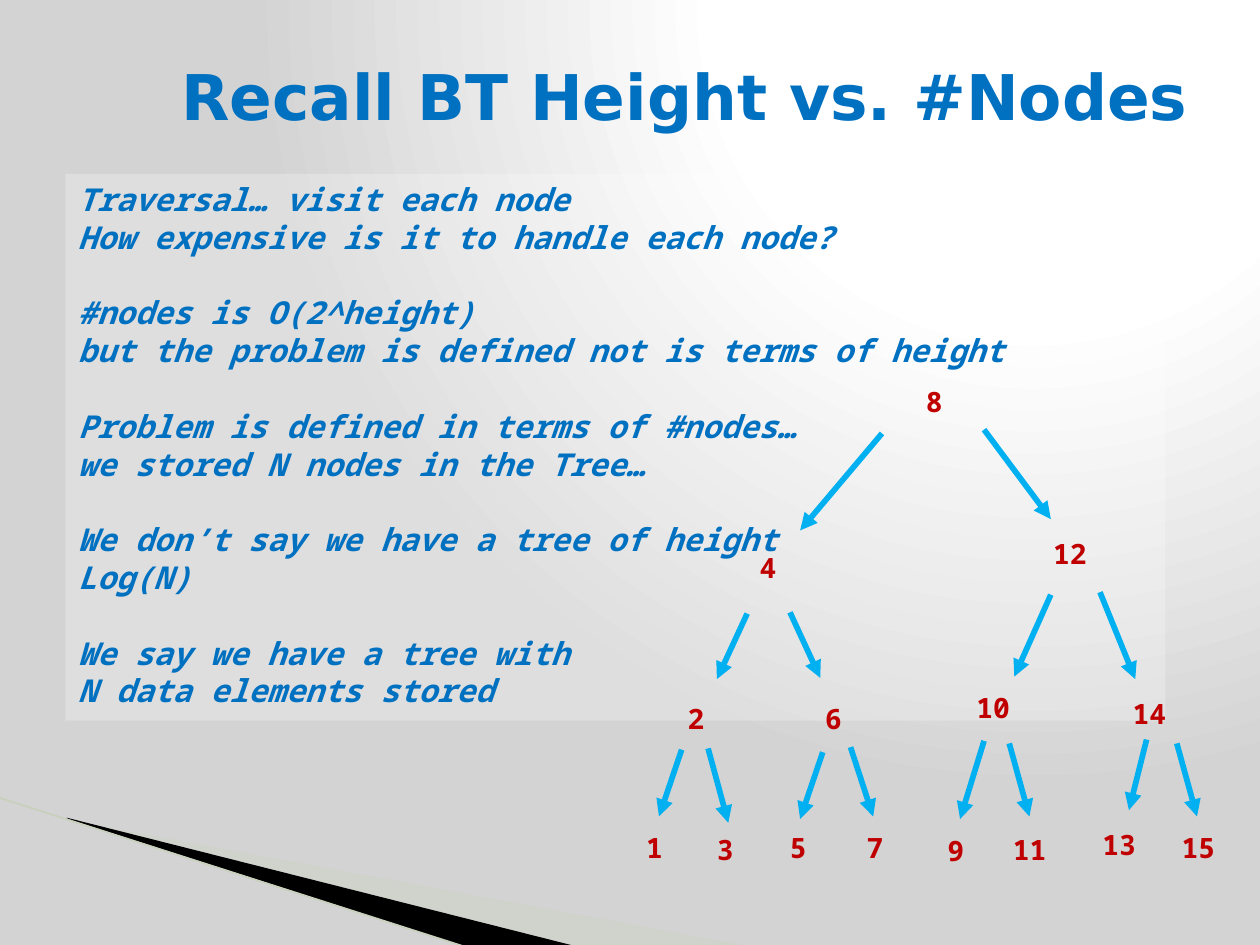
"""Build the slide on binary tree height versus number of nodes."""
from lxml.etree import SubElement
from pptx import Presentation
from pptx.dml.color import RGBColor
from pptx.enum.shapes import MSO_CONNECTOR, MSO_SHAPE
from pptx.enum.text import MSO_ANCHOR, MSO_AUTO_SIZE, PP_ALIGN
from pptx.oxml import parse_xml
from pptx.oxml.ns import nsdecls, qn
from pptx.util import Inches, Pt

HUES = {"text": "0070C0", "node": "C00000", "edge": "00B0F0", "pale": "CBD4C0",
        "dark": "000000", "rim": "C6D0BB", "white": "FFFFFF", "grey": "D3D3D3"}
SANS, MONO = "DejaVu Sans", "Noto Sans Mono"
TITLE = "Recall BT Height vs. #Nodes"
BLOCKS = [
    ["Traversal… visit each node", "How expensive is it to handle each node?"],
    ["#nodes is O(2^height)", "but the problem is defined not is terms of height"],
    ["Problem is defined in terms of #nodes…", "we stored N nodes in the Tree…"],
    ["We don’t say we have a tree of height", "Log(N)"],
    ["We say we have a tree with", "N data elements stored"],
]
NODES = [
    (8, 7.25, 3), (4, 5.93, 4.32), (12, 8.26, 4.21),
    (2, 5.36, 5.52), (6, 6.45, 5.52), (10, 7.65, 5.43), (14, 8.89, 5.48),
    (1, 5.03, 6.54), (3, 5.59, 6.56), (5, 6.17, 6.54), (7, 6.78, 6.54),
    (9, 7.42, 6.57), (11, 7.94, 6.56), (13, 8.65, 6.52), (15, 9.28, 6.54),
]
EDGES = [
    (7, 3.44, 6.35, 4.21), (7.81, 3.41, 8.34, 4.12),
    (5.93, 4.87, 5.69, 5.39), (6.27, 4.86, 6.51, 5.38),
    (8.34, 4.72, 8.05, 5.37), (8.73, 4.7, 9.01, 5.39),
    (5.41, 5.95, 5.23, 6.48), (5.62, 5.94, 5.78, 6.53),
    (6.53, 5.97, 6.35, 6.5), (6.75, 5.93, 6.93, 6.48),
    (7.81, 5.88, 7.62, 6.5), (8.01, 5.9, 8.17, 6.48),
    (9.1, 5.87, 8.96, 6.43), (9.34, 5.9, 9.5, 6.48),
]
WEDGES = [
    ("pale", 40, [(0.55, 6.51), (5.95, 7.51), (4.56, 7.51), (0.55, 6.5)]),
    ("dark", 100, [(0.53, 6.49), (4.57, 7.51), (3.72, 7.52), (0.54, 6.5)]),
]
RIM = (-0.01, 6.33, 3.71, 7.52)
STOPS = [(0, "white"), (40, "white"), (100, "grey")]


def hue(name):
    return RGBColor.from_string(HUES[name])


def style(para, size, face, name, slant=False):
    font = para.font
    font.size, font.name, font.bold, font.italic = Pt(size), face, True, slant
    font.color.rgb = hue(name)


def paint(shape, name, share=100):
    shape.shadow.inherit = False
    shape.line.fill.background()
    shape.fill.solid()
    shape.fill.fore_color.rgb = hue(name)
    if share < 100:
        tone = shape.element.spPr.find(".//" + qn("a:srgbClr"))
        SubElement(tone, qn("a:alpha"), val=str(share * 1000))


def shade(slide):
    stops = "".join(f'<a:gs pos="{at * 1000}"><a:srgbClr val="{HUES[name]}"/></a:gs>'
                    for at, name in STOPS)
    slide.element.cSld.insert(0, parse_xml(
        f'<p:bg {nsdecls("p", "a")}><p:bgPr><a:gradFill rotWithShape="1">'
        f'<a:gsLst>{stops}</a:gsLst><a:path path="circle">'
        '<a:fillToRect l="65000" t="0" r="0" b="98000"/></a:path></a:gradFill>'
        '<a:effectLst/></p:bgPr></p:bg>'))


def link(shapes, ends, name, width, arrow=False):
    line = shapes.add_connector(MSO_CONNECTOR.STRAIGHT, *map(Inches, ends))
    line.line.color.rgb = hue(name)
    line.line.width = Pt(width)
    if arrow:
        SubElement(line.line._get_or_add_ln(), qn("a:tailEnd"), type="triangle")
    SubElement(line.element.spPr, qn("a:effectLst"))


def wedge(shapes, name, share, points):
    spots = [(x * 100, y * 100) for x, y in points]
    pen = shapes.build_freeform(*spots[0], scale=Inches(0.01))
    pen.add_line_segments(spots[1:], close=True)
    paint(pen.convert_to_shape(), name, share)


def head(slide):
    title = slide.shapes.title
    title.left, title.top, title.width, title.height = map(Inches, (0.53, 0.13, 9, 1.25))
    frame = title.text_frame
    frame.text = TITLE
    frame.vertical_anchor = MSO_ANCHOR.MIDDLE
    frame.auto_size = MSO_AUTO_SIZE.NONE
    para = frame.paragraphs[0]
    para.alignment = PP_ALIGN.RIGHT
    style(para, 36, SANS, "text")
    slide.shapes.element.append(title.element)


def body(shapes):
    box = shapes.add_shape(MSO_SHAPE.RECTANGLE, *map(Inches, (0.52, 1.38, 8.73, 4.34)))
    paint(box, "white", 25)
    frame = box.text_frame
    frame.word_wrap = True
    frame.vertical_anchor = MSO_ANCHOR.TOP
    frame.text = "\n".join(line for block in BLOCKS for line in block)
    starts = {block[0] for block in BLOCKS[1:]}
    for para in frame.paragraphs:
        para.alignment = PP_ALIGN.LEFT
        para.space_before = Pt(21.6 if para.text in starts else 0)
        style(para, 18, MONO, "text", True)


def node(shapes, key, left, top):
    width = 0.32 if key < 10 else 0.55
    box = shapes.add_textbox(*map(Inches, (left, top, width, 0.4)))
    frame = box.text_frame
    frame.word_wrap = True
    frame.text = str(key)
    style(frame.paragraphs[0], 16, MONO, "node")


def main():
    deck = Presentation()
    deck.slide_width, deck.slide_height = Inches(10), Inches(7.5)
    slide = deck.slides.add_slide(deck.slide_layouts[5])
    shapes = slide.shapes
    shade(slide)
    for part in WEDGES:
        wedge(shapes, *part)
    link(shapes, RIM, "rim", 0.95)
    head(slide)
    body(shapes)
    for ends in EDGES:
        link(shapes, ends, "edge", 3.25, True)
    for item in NODES:
        node(shapes, *item)
    deck.save("out.pptx")


if __name__ == "__main__":
    main()
